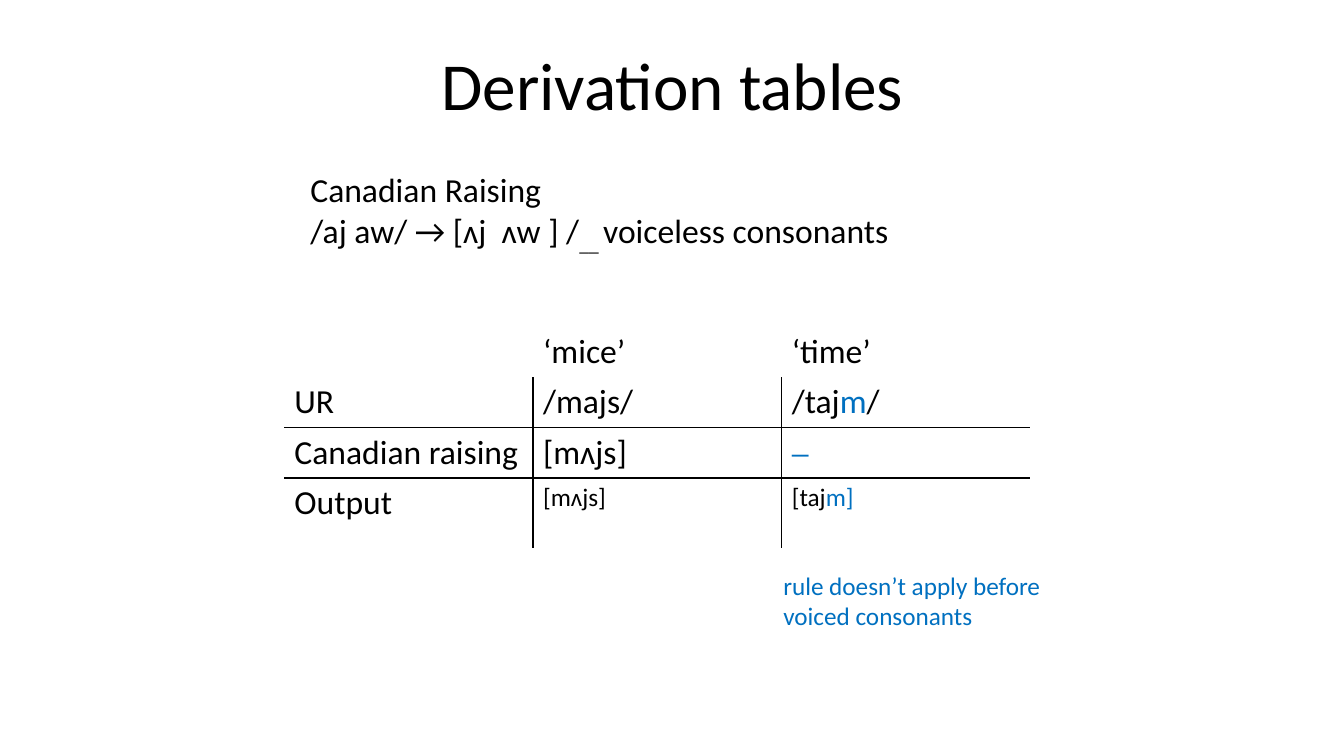
from pptx import Presentation
from pptx.dml.color import RGBColor
from pptx.enum.text import MSO_ANCHOR, PP_ALIGN
from pptx.oxml.ns import qn
from pptx.util import Inches, Pt
from lxml.etree import SubElement

THEME = {
    "font": "Calibri",
    "ink": "000000",
    "accent": "0070C0",
    "title": 48,
    "body": 24,
    "small": 18,
    "rule": 1,
    "heavy_rule": 1.5,
}

# A line of text is a list of (words, style) pieces.
TITLE = [[("Derivation tables", "ink")]]
RAISING_RULE = [
    [("Canadian Raising", "ink")],
    [("/aj aw/ → [ʌj  ʌw ] /", "ink"), ("__ ", "subscript"), ("voiceless consonants", "ink")],
]
CAVEAT = [[("rule doesn’t apply before voiced consonants", "accent")]]
DERIVATION = [
    [[], [("‘mice’", "ink")], [("‘time’", "ink")]],
    [[("UR", "ink")], [("/majs/", "ink")], [("/taj", "ink"), ("m", "accent"), ("/", "ink")]],
    [[("Canadian raising", "ink")], [("[mʌjs]", "ink")], [("⎯", "accent")]],
    [[("Output", "ink")], [("[mʌjs]", "ink")], [("[taj", "ink"), ("m]", "accent")]],
]
ROW_HEIGHTS = [0.5, 0.5, 0.5, 0.7]
TABLE_LEFT, TABLE_TOP, TABLE_WIDTH = 2.82, 3.24, 7.4
ROW_RULES = {1: THEME["rule"], 2: THEME["heavy_rule"]}  # row above the line: width


def write_line(paragraph, pieces, size):
    for words, style in pieces:
        run = paragraph.add_run()
        run.text = words
        run.font.name = THEME["font"]
        run.font.size = Pt(size)
        run.font.color.rgb = RGBColor.from_string(THEME.get(style, THEME["ink"]))
        if style == "subscript":
            run.font._element.set("baseline", "-25000")


def add_text(slide, lines, box, size, align=PP_ALIGN.LEFT, anchor=MSO_ANCHOR.TOP):
    frame = slide.shapes.add_textbox(*map(Inches, box)).text_frame
    frame.word_wrap = True
    frame.vertical_anchor = anchor
    for index, pieces in enumerate(lines):
        paragraph = frame.add_paragraph() if index else frame.paragraphs[0]
        paragraph.alignment = align
        write_line(paragraph, pieces, size)


def set_borders(cell, widths):
    """Draw each side given a width in points; hide a side whose width is None."""
    properties = cell._tc.get_or_add_tcPr()
    for side, width in widths.items():
        border = SubElement(properties, qn(f"a:ln{side}"))
        if width is None:
            SubElement(border, qn("a:noFill"))
            continue
        border.set("w", str(Pt(width)))
        color = SubElement(SubElement(border, qn("a:solidFill")), qn("a:srgbClr"))
        color.set("val", THEME["ink"])


def add_derivation(slide):
    row_count, column_count = len(DERIVATION), len(DERIVATION[0])
    table = slide.shapes.add_table(
        row_count, column_count, Inches(TABLE_LEFT), Inches(TABLE_TOP),
        Inches(TABLE_WIDTH), Inches(sum(ROW_HEIGHTS))).table
    table.first_row = table.horz_banding = False
    for row, height in zip(table.rows, ROW_HEIGHTS):
        row.height = Inches(height)
    for r, line in enumerate(DERIVATION):
        for c, pieces in enumerate(line):
            cell = table.cell(r, c)
            is_output_form = r == row_count - 1 and c > 0
            write_line(cell.text_frame.paragraphs[0], pieces,
                       THEME["small" if is_output_form else "body"])
            set_borders(cell, {
                "L": THEME["rule"] if r and c else None,
                "R": THEME["rule"] if r and c < column_count - 1 else None,
                "T": ROW_RULES.get(r - 1),
                "B": ROW_RULES.get(r),
            })
            cell.fill.background()


def main():
    deck = Presentation()
    deck.slide_width, deck.slide_height = Inches(13.33), Inches(7.5)
    slide = deck.slides.add_slide(deck.slide_layouts[6])
    add_text(slide, TITLE, (0.67, 0.3, 12, 1.06), THEME["title"],
             PP_ALIGN.CENTER, MSO_ANCHOR.MIDDLE)
    add_text(slide, RAISING_RULE, (2.98, 1.63, 7.64, 1.31), THEME["body"])
    add_derivation(slide)
    add_text(slide, CAVEAT, (7.67, 5.61, 3.25, 0.71), THEME["small"])
    deck.save("out.pptx")


if __name__ == "__main__":
    main()
